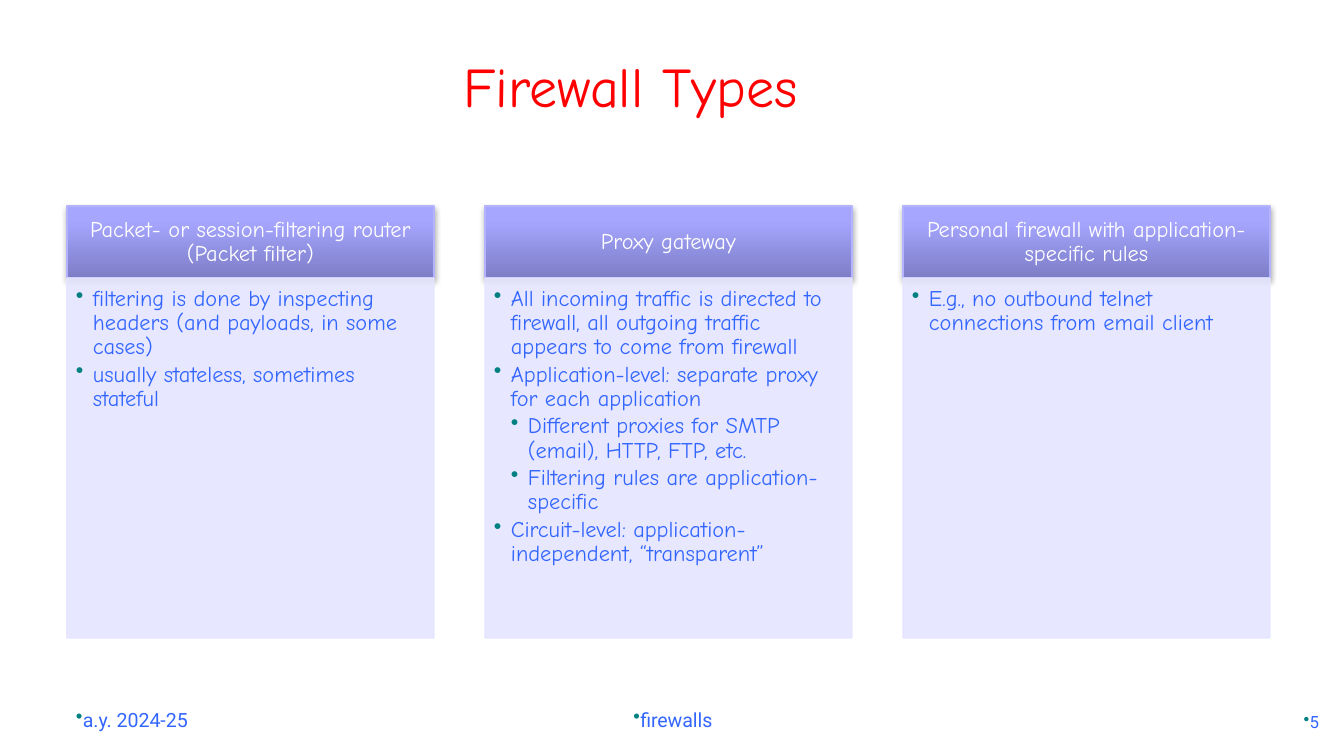
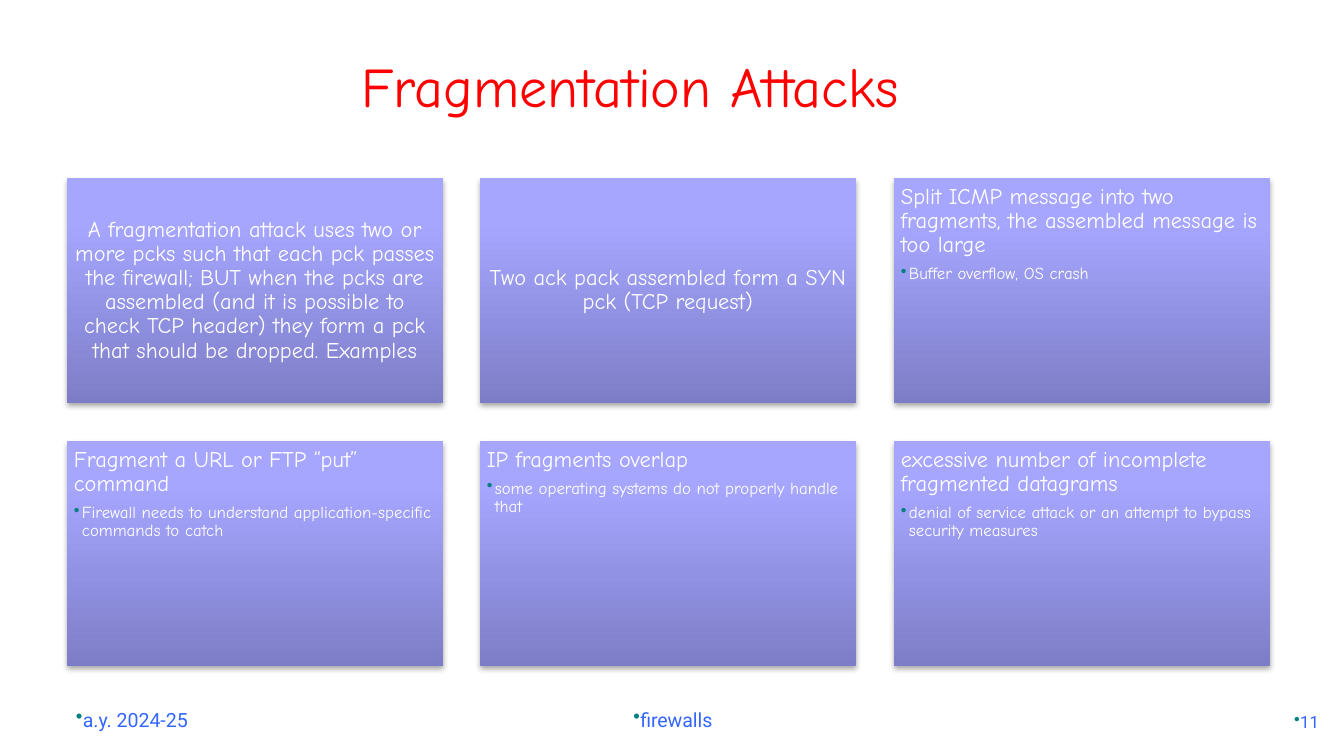
from copy import deepcopy

from lxml.etree import SubElement
from pptx import Presentation
from pptx.dml.color import RGBColor
from pptx.enum.shapes import MSO_SHAPE
from pptx.enum.text import MSO_ANCHOR as ANCHOR, PP_ALIGN as ALIGN
from pptx.oxml.ns import qn
from pptx.util import Inches, Pt

SCALE = Inches(10) / 1344
RED = RGBColor(0xFF, 0x00, 0x00)
BLUE = RGBColor(0x33, 0x66, 0xFF)
TEAL = RGBColor(0x00, 0x80, 0x80)
WHITE = RGBColor(0xFF, 0xFF, 0xFF)
BLACK = RGBColor(0x00, 0x00, 0x00)
PALE = RGBColor(0xE5, 0xE5, 0xFF)
EDGE = RGBColor(0xB3, 0xB3, 0xFF)
GRADIENT = [
    (0, RGBColor(0x7D, 0x7D, 0xC7)),
    (0.8, RGBColor(0xA6, 0xA6, 0xFF)),
    (1, RGBColor(0xA7, 0xA7, 0xFF)),
]
HAND = "Comic Neue"
SANS = "Roboto"

CONTENT_X, CONTENT_W = 67, 1203
FOOTERS = [
    ((63, 687, 280, 51), ALIGN.LEFT, 10.5),
    ((460, 687, 426, 51), ALIGN.CENTER, 10.5),
    ((1052, 688, 280, 51), ALIGN.RIGHT, 9),
]

TYPES = [
    ("Packet- or session-filtering router (Packet filter)", [
        (1, "filtering is done by inspecting headers (and payloads, in some cases)"),
        (1, "usually stateless, sometimes stateful"),
    ]),
    ("Proxy gateway", [
        (1, "All incoming traffic is directed to firewall, all outgoing traffic "
            "appears to come from firewall"),
        (1, "Application-level: separate proxy for each application"),
        (2, "Different proxies for SMTP (email), HTTP, FTP, etc."),
        (2, "Filtering rules are application-specific"),
        (1, "Circuit-level: application-independent, “transparent”"),
    ]),
    ("Personal firewall with application-specific rules", [
        (1, "E.g., no outbound telnet connections from email client"),
    ]),
]

ATTACKS = [
    ("A fragmentation attack uses two or more pcks such that each pck passes the "
     "firewall; BUT when the pcks are assembled (and it is possible to check TCP "
     "header) they form a pck that should be dropped. Examples", None),
    ("Two ack pack assembled form a SYN pck (TCP request)", None),
    ("Split ICMP message into two fragments, the assembled message is too large",
     "Buffer overflow, OS crash"),
    ("Fragment a URL or FTP “put” command",
     "Firewall needs to understand application-specific commands to catch"),
    ("IP fragments overlap", "some operating systems do not properly handle that"),
    ("excessive number of incomplete fragmented datagrams",
     "denial of service attack or an attempt to bypass security measures"),
]


def px(n):
    return round(n * SCALE)


def setup_frame(tf, anchor, insets):
    tf.word_wrap = True
    tf.vertical_anchor = anchor
    tf.margin_left, tf.margin_top, tf.margin_right, tf.margin_bottom = map(px, insets)


def add_bullet(p, level, hang):
    p.level = level
    pPr = p._p.get_or_add_pPr()
    pPr.set("marL", str(px(hang * level)))
    pPr.set("indent", str(-px(hang)))
    color = SubElement(pPr, qn("a:buClr"))
    SubElement(color, qn("a:srgbClr"), val=str(TEAL))
    SubElement(pPr, qn("a:buChar"), char="•")


def add_text(tf, text, size, color, font=HAND, align=ALIGN.LEFT, after=None,
             level=0, hang=None):
    p = tf.paragraphs[0]
    if p.runs:
        p = tf.add_paragraph()
    if hang is not None:
        add_bullet(p, level, hang)
    p.alignment = align
    if after is not None:
        p.line_spacing = 0.9
        p.space_after = Pt(after)
    r = p.add_run()
    r.text = text
    r.font.size = Pt(size)
    r.font.name = font
    r.font.color.rgb = color


def add_label(s, box, anchor=ANCHOR.BOTTOM):
    tf = s.shapes.add_textbox(*map(px, box)).text_frame
    setup_frame(tf, anchor, (13, 7, 13, 7))
    return tf


def add_rect(s, box):
    sp = s.shapes.add_shape(MSO_SHAPE.RECTANGLE, *map(px, box))
    sp.shadow.inherit = False
    return sp


def add_raised_rect(s, box):
    sp = add_rect(s, box)
    sp.fill.gradient()
    sp.fill.gradient_angle = 90
    spPr = sp._element.spPr
    stops = spPr.find(".//" + qn("a:gsLst"))
    stops.append(deepcopy(stops[0]))
    for stop, (position, color) in zip(sp.fill.gradient_stops, GRADIENT):
        stop.position = position
        stop.color.rgb = color
    shadow = SubElement(spPr.find(qn("a:effectLst")), qn("a:outerShdw"),
                        blurRad=str(Pt(3.1)), dist=str(Pt(1.8)), dir="5400000",
                        rotWithShape="0")
    color = SubElement(shadow, qn("a:srgbClr"), val=str(BLACK))
    SubElement(color, qn("a:alpha"), val="35000")
    sp.line.fill.background()
    return sp


def add_pale_rect(s, box):
    sp = add_rect(s, box)
    sp.fill.solid()
    sp.fill.fore_color.rgb = PALE
    sp.line.color.rgb = PALE
    sp.line.width = Pt(0.75)
    for color in sp._element.spPr.iter(qn("a:srgbClr")):
        SubElement(color, qn("a:alpha"), val="90000")
    return sp


def column_x(i, width):
    return CONTENT_X + i * (CONTENT_W - width) // 2


def add_type_column(s, x, y, width, heading, items):
    head_h, body_h = 72, 360
    head = add_raised_rect(s, (x, y, width, head_h))
    head.line.color.rgb = EDGE
    head.line.width = Pt(0.75)
    setup_frame(head.text_frame, ANCHOR.MIDDLE, (12, 7, 12, 7))
    add_text(head.text_frame, heading, 12, WHITE, align=ALIGN.CENTER, after=4.2)
    body = add_pale_rect(s, (x, y + head_h, width, body_h))
    setup_frame(body.text_frame, ANCHOR.TOP, (9, 9, 12, 13))
    for level, text in items:
        add_text(body.text_frame, text, 12, BLUE, after=1.8, level=level, hang=17)


def add_attack_card(s, box, heading, detail):
    tf = add_raised_rect(s, box).text_frame
    setup_frame(tf, ANCHOR.TOP if detail else ANCHOR.MIDDLE, (7, 7, 7, 7))
    add_text(tf, heading, 12, WHITE, after=4.2,
             align=ALIGN.LEFT if detail else ALIGN.CENTER)
    if detail:
        add_text(tf, detail, 9, WHITE, after=1.8, level=1, hang=8)


def add_base(prs, title, number):
    s = prs.slides.add_slide(prs.slide_layouts[6])
    add_text(add_label(s, (59, 25, 1143, 101)), title, 30, RED, align=ALIGN.CENTER)
    for text, (box, align, size) in zip(("a.y. 2024-25", "firewalls", number), FOOTERS):
        add_text(add_label(s, box), text, size, BLUE, SANS, align, hang=0)
    return s


def build_types(prs):
    s = add_base(prs, "Firewall Types", "5")
    width = 367
    for i, (heading, items) in enumerate(TYPES):
        add_type_column(s, column_x(i, width), 206, width, heading, items)


def build_attacks(prs):
    s = add_base(prs, "Fragmentation Attacks", "11")
    width, height, gap = 376, 225, 38
    for i, (heading, detail) in enumerate(ATTACKS):
        row, col = divmod(i, 3)
        box = (column_x(col, width), 178 + row * (height + gap), width, height)
        add_attack_card(s, box, heading, detail)


def main():
    prs = Presentation()
    prs.slide_width, prs.slide_height = px(1344), px(756)
    build_types(prs)
    build_attacks(prs)
    prs.save("out.pptx")


if __name__ == "__main__":
    main()
